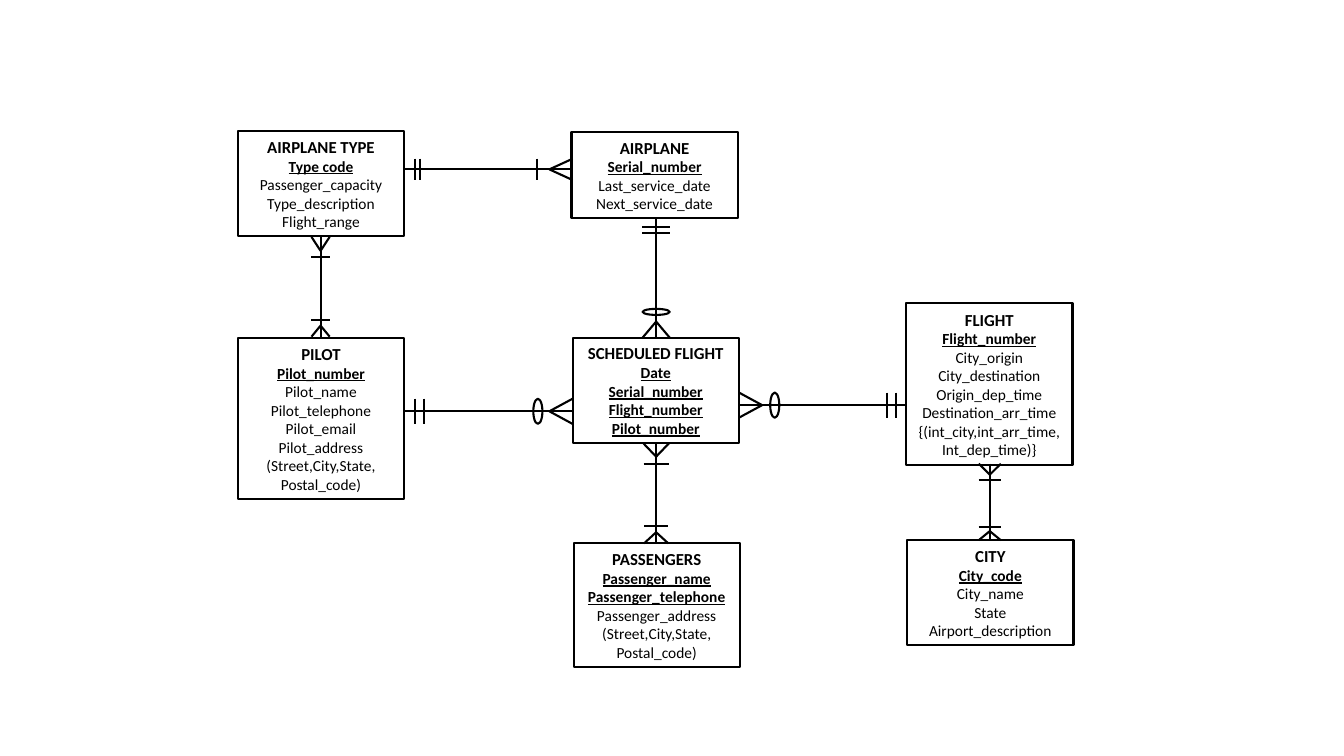
from dataclasses import dataclass

from lxml.etree import SubElement
from pptx import Presentation
from pptx.dml.color import RGBColor
from pptx.enum.shapes import MSO_CONNECTOR, MSO_SHAPE
from pptx.enum.text import MSO_ANCHOR, MSO_AUTO_SIZE, PP_ALIGN
from pptx.oxml.ns import qn
from pptx.util import Pt

BLACK = RGBColor(0, 0, 0)
FONT = "Calibri"
LINE_WIDTH = Pt(1.5)
BOX_WIDTH = 118.8
TITLE_SIZE, FIELD_SIZE = 12, 11
BOX_PADDING, TITLE_HEIGHT, FIELD_HEIGHT = 7, 14.5, 13.4


@dataclass
class Entity:
    """A box with a title, underlined key fields and plain fields."""
    left: float
    top: float
    title: str
    keys: list[str]
    fields: list[str]


@dataclass
class End:
    """Crow's foot marks, as distances from the entity's edge."""
    half: float
    foot: float = 0
    bars: tuple[float, ...] = ()
    ring: float = 0
    ring_depth: float = 6.5


@dataclass
class Relation:
    """A straight line along one axis with marks at both ends."""
    vertical: bool
    cross: float
    start: float
    stop: float
    first: End
    last: End


ADDRESS = ["(Street,City,State,", "Postal_code)"]

ENTITIES = [
    Entity(647.3, 216.7, "FLIGHT", ["Flight_number"],
           ["City_origin", "City_destination", "Origin_dep_time",
            "Destination_arr_time", "{(int_city,int_arr_time,", "Int_dep_time)}"]),
    Entity(409, 241.2, "SCHEDULED FLIGHT",
           ["Date", "Serial_number", "Flight_number", "Pilot_number"], []),
    Entity(169.9, 93.6, "AIRPLANE TYPE", ["Type code"],
           ["Passenger_capacity", "Type_description", "Flight_range"]),
    Entity(408.2, 94.3, "AIRPLANE", ["Serial_number"],
           ["Last_service_date", "Next_service_date"]),
    Entity(409.7, 388.1, "PASSENGERS", ["Passenger_name", "Passenger_telephone"],
           ["Passenger_address", *ADDRESS]),
    Entity(169.9, 241.2, "PILOT", ["Pilot_number"],
           ["Pilot_name", "Pilot_telephone", "Pilot_email", "Pilot_address", *ADDRESS]),
    Entity(648, 385.9, "CITY", ["City_code"],
           ["City_name", "State", "Airport_description"]),
]

RELATIONS = [
    # Scheduled flight to flight
    Relation(False, 289.4, 527.8, 648,
             End(9, foot=16.6, ring=25.6), End(9, bars=(7.9, 14.4))),
    # Airplane type to pilot
    Relation(True, 229, 169.2, 240.5,
             End(6.5, foot=10, bars=(14.4,)), End(6.5, foot=7.9, bars=(12.2,))),
    # Airplane type to airplane
    Relation(False, 121, 288.7, 409,
             End(7.6, bars=(7.9, 11.5)), End(7.6, foot=16.6, bars=(25.2,))),
    # Airplane to scheduled flight
    Relation(True, 468.7, 156.2, 241.2,
             End(9.9, bars=(5.8, 10.1)),
             End(9.7, foot=11.5, ring=18.4, ring_depth=4.3)),
    # Scheduled flight to passengers
    Relation(True, 468.7, 316.8, 388.1,
             End(9, foot=9.4, bars=(14.4,)), End(8.6, foot=7.9, bars=(12.2,))),
    # Flight to city
    Relation(True, 707, 331.2, 385.9,
             End(7.9, foot=7.9, bars=(11.5,)), End(7.9, foot=6.5, bars=(9.4,))),
    # Pilot to scheduled flight
    Relation(False, 293.8, 288.7, 409,
             End(9, bars=(7.9, 14.4)), End(9, foot=16.6, ring=24.8)),
]


def add_outline(shapes, kind: MSO_SHAPE, left: float, top: float,
                width: float, height: float):
    """Add an unfilled preset shape with a black outline."""
    sp = shapes.add_shape(kind, Pt(left), Pt(top), Pt(width), Pt(height))
    sp.shadow.inherit = False
    sp.fill.background()
    sp.line.color.rgb = BLACK
    sp.line.width = LINE_WIDTH
    return sp


def add_entity(shapes, entity: Entity) -> None:
    """Draw an entity box sized to its number of text lines."""
    rows = [entity.title, *entity.keys, *entity.fields]
    height = BOX_PADDING + TITLE_HEIGHT + FIELD_HEIGHT * (len(rows) - 1)
    sp = add_outline(shapes, MSO_SHAPE.RECTANGLE, entity.left, entity.top,
                     BOX_WIDTH, height)
    tf = sp.text_frame
    tf.word_wrap = True
    tf.auto_size = MSO_AUTO_SIZE.SHAPE_TO_FIT_TEXT
    tf.vertical_anchor = MSO_ANCHOR.MIDDLE
    tf.text = "\n".join(rows)
    for i, p in enumerate(tf.paragraphs):
        p.alignment = PP_ALIGN.CENTER
        font = p.runs[0].font
        font.name = FONT
        font.size = Pt(FIELD_SIZE if i else TITLE_SIZE)
        font.color.rgb = BLACK
        font.bold = i <= len(entity.keys)
        font.underline = 0 < i <= len(entity.keys)


def add_relation(shapes, relation: Relation) -> None:
    """Draw a relation line and its end marks as one group."""
    group = shapes.add_group_shape().shapes

    def place(along: float, offset: float) -> tuple[float, float]:
        """Turn a position along and across the line into x and y."""
        across = relation.cross + offset
        return (across, along) if relation.vertical else (along, across)

    def add_line(a: tuple[float, float], b: tuple[float, float]) -> None:
        """Draw a straight black line between two placed points."""
        start, stop = place(*a), place(*b)
        line = group.add_connector(MSO_CONNECTOR.STRAIGHT, *map(Pt, start + stop))
        line.line.color.rgb = BLACK
        line.line.width = LINE_WIDTH
        SubElement(line._element.spPr, qn("a:effectLst"))

    def add_end(edge: float, way: int, end: End) -> None:
        """Draw the foot, bars and ring next to one entity."""
        if end.foot:
            for offset in (-end.half, end.half):
                add_line((edge + way * end.foot, 0), (edge, offset))
        for bar in end.bars:
            along = edge + way * bar
            add_line((along, -end.half), (along, end.half))
        if end.ring:
            left, top = place(edge + way * end.ring - end.ring_depth / 2, -end.half)
            size = (end.ring_depth, 2 * end.half)
            width, height = reversed(size) if relation.vertical else size
            add_outline(group, MSO_SHAPE.OVAL, left, top, width, height)

    add_line((relation.start, 0), (relation.stop, 0))
    add_end(relation.start, 1, relation.first)
    add_end(relation.stop, -1, relation.last)


def main() -> None:
    """Build the airline entity-relationship slide."""
    prs = Presentation()
    prs.slide_width, prs.slide_height = Pt(960), Pt(540)
    s = prs.slides.add_slide(prs.slide_layouts[6])
    for entity in ENTITIES:
        add_entity(s.shapes, entity)
    for relation in RELATIONS:
        add_relation(s.shapes, relation)
    prs.save("out.pptx")


main()
